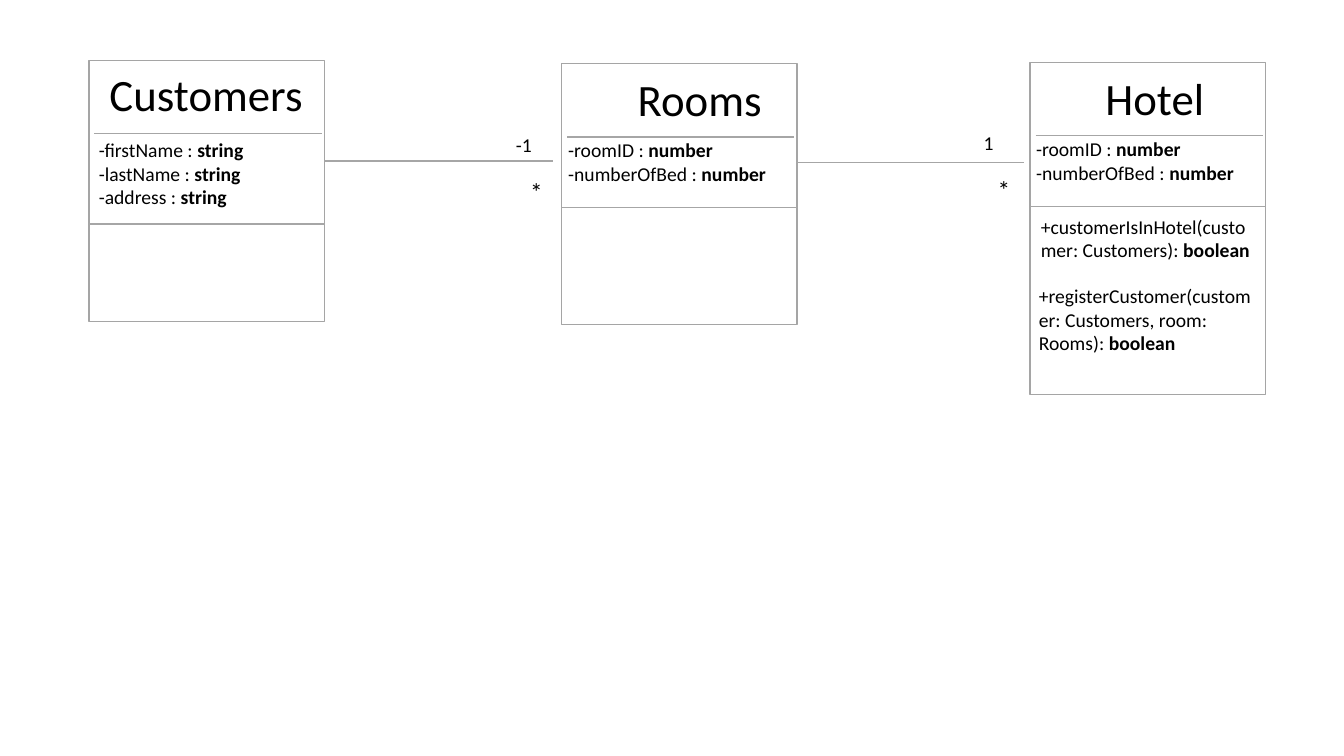
import dataclasses

import pptx
import pptx.dml.color
import pptx.enum.shapes
import pptx.enum.text
import pptx.oxml.ns
import pptx.util
from lxml import etree

Cm = pptx.util.Cm
Pt = pptx.util.Pt


@dataclasses.dataclass(frozen=True)
class Theme:
    font: str = "Calibri"
    ink: str = "000000"
    paper: str = "FFFFFF"
    border: str = "A5A5A5"
    rule: str = "A6A6A6"
    title: int = 32
    star: int = 18
    body: int = 14
    line: int = 1


THEME = Theme()
CARD_WIDTH = 5.94
HEADER_INSET = 0.14
HEADER_WIDTH = 5.73
HEADER_DROP = 1.85
ROOM_FIELDS = [("-roomID : ", "number"), ("-numberOfBed : ", "number")]

CLASSES = [
    {
        "card": (2.24, 1.52, 6.58), "divider": 5.64,
        "name": "Customers", "name_at": (2.51, 1.55, 5.44),
        "fields": [("-firstName : ", "string"), ("-lastName : ", "string"), ("-address : ", "string")],
        "fields_at": (2.24, 3.35, 4.19), "methods": [],
    },
    {
        "card": (14.15, 1.6, 6.58), "divider": 5.23,
        "name": "Rooms", "name_at": (15.82, 1.68, 3.66),
        "fields": ROOM_FIELDS, "fields_at": (14.07, 3.35, 5.54), "methods": [],
    },
    {
        "card": (25.96, 1.57, 8.38), "divider": 5.21,
        "name": "Hotel", "name_at": (27.61, 1.65, 3.02),
        "fields": ROOM_FIELDS, "fields_at": (25.86, 3.33, 5.54),
        "methods": [
            ((25.98, 5.28, CARD_WIDTH), ("+customerIsInHotel(customer: Customers): ", "boolean")),
            ((25.93, 7.04, CARD_WIDTH), ("+registerCustomer(customer: Customers, room: Rooms): ", "boolean")),
        ],
    },
]

LINKS = [
    {"line": (8.2, 13.94, 4.06), "near": ("-1", (12.75, 3.23, 0.91)), "far": ("*", (13.11, 4.32, 0.84))},
    {"line": (20.07, 25.81, 4.09), "near": ("1", (24.54, 3.18, 0.76)), "far": ("*", (24.89, 4.27, 0.84))},
]


def color(code):
    """Turn a hex code into a colour."""
    return pptx.dml.color.RGBColor.from_string(code)


def add_text(page, rows, *, at, size=THEME.body, wrap=False):
    """Write rows of (plain, bold) text in a box at left, top, width."""
    left, top, width = at
    height = 0.25 + len(rows) * size * 0.043
    box = page.shapes.add_textbox(Cm(left), Cm(top), Cm(width), Cm(height))
    frame = box.text_frame
    frame.word_wrap = wrap
    frame.auto_size = pptx.enum.text.MSO_AUTO_SIZE.SHAPE_TO_FIT_TEXT
    for index, row in enumerate(rows):
        para = frame.add_paragraph() if index else frame.paragraphs[0]
        for text, bold in zip(row, (False, True)):
            span = para.add_run()
            span.text = text
            span.font.name = THEME.font
            span.font.size = Pt(size)
            span.font.bold = bold
            span.font.color.rgb = color(THEME.ink)


def add_rule(page, start, end, y):
    """Draw a thin horizontal line."""
    rule = page.shapes.add_connector(
        pptx.enum.shapes.MSO_CONNECTOR.STRAIGHT, Cm(start), Cm(y), Cm(end), Cm(y))
    rule.line.color.rgb = color(THEME.rule)
    rule.line.width = Pt(THEME.line)
    etree.SubElement(rule._element.spPr, pptx.oxml.ns.qn("a:effectLst"))


def add_class(page, entry):
    """Draw one class with its name, fields and methods."""
    left, top, height = entry["card"]
    card = page.shapes.add_shape(
        pptx.enum.shapes.MSO_SHAPE.RECTANGLE, Cm(left), Cm(top), Cm(CARD_WIDTH), Cm(height))
    card.shadow.inherit = False
    card.fill.solid()
    card.fill.fore_color.rgb = color(THEME.paper)
    card.line.color.rgb = color(THEME.border)
    card.line.width = Pt(THEME.line)
    header = left + HEADER_INSET
    add_rule(page, header, header + HEADER_WIDTH, top + HEADER_DROP)
    add_rule(page, left, left + CARD_WIDTH, entry["divider"])
    add_text(page, [(entry["name"],)], at=entry["name_at"], size=THEME.title)
    add_text(page, entry["fields"], at=entry["fields_at"])
    for place, method in entry["methods"]:
        add_text(page, [method], at=place, wrap=True)


def main():
    """Build the class diagram slide."""
    deck = pptx.Presentation()
    deck.slide_width, deck.slide_height = Cm(33.87), Cm(19.05)
    page = deck.slides.add_slide(deck.slide_layouts.get_by_name("Blank"))
    for entry in CLASSES:
        add_class(page, entry)
    for link in LINKS:
        add_rule(page, *link["line"])
        for end, size in (("near", THEME.body), ("far", THEME.star)):
            text, place = link[end]
            add_text(page, [(text,)], at=place, size=size)
    deck.save("out.pptx")


if __name__ == "__main__":
    main()
